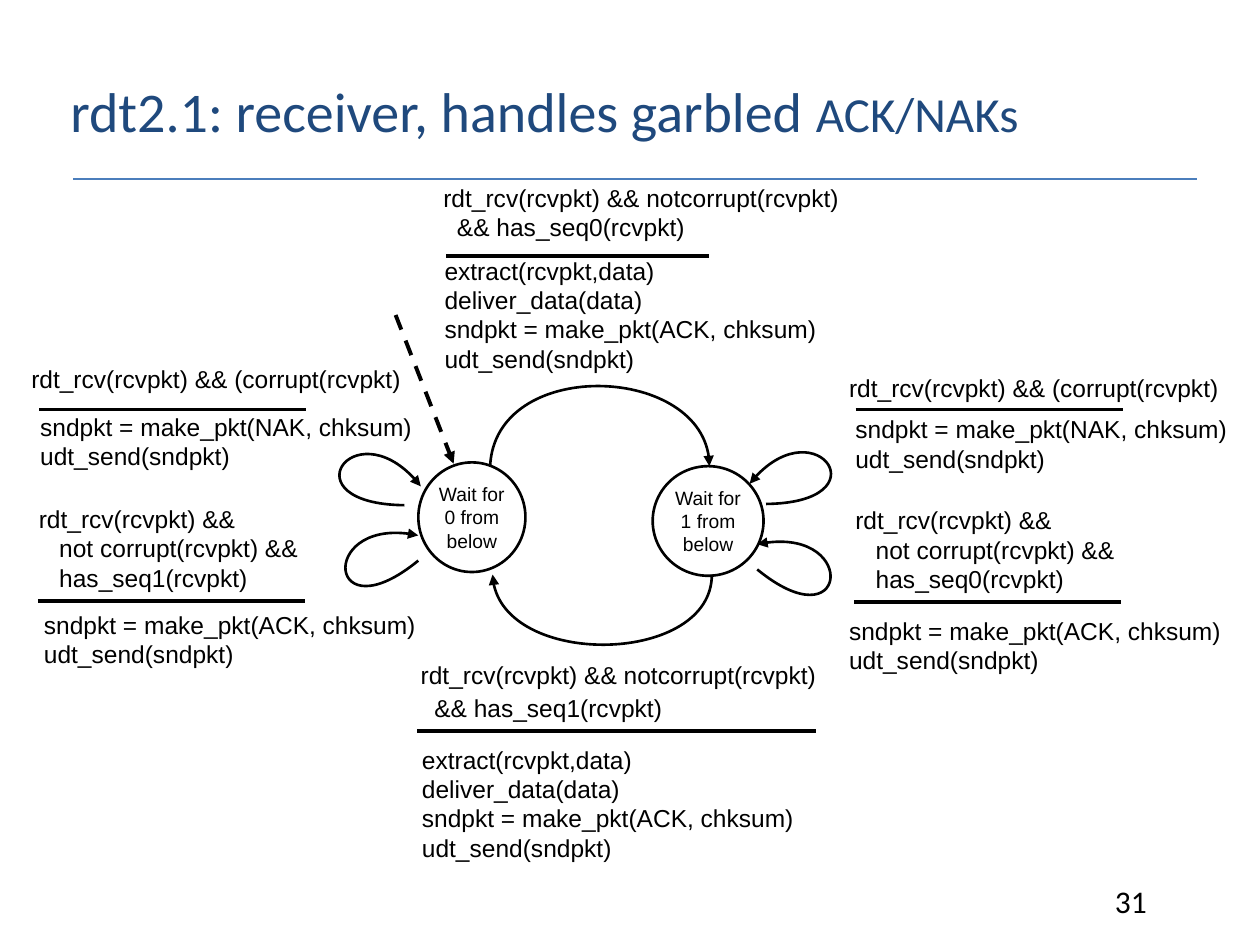
from dataclasses import dataclass

from lxml.etree import SubElement
from pptx import Presentation
from pptx.dml.color import RGBColor
from pptx.enum.dml import MSO_LINE
from pptx.enum.shapes import MSO_CONNECTOR, MSO_SHAPE
from pptx.enum.text import MSO_ANCHOR, PP_ALIGN
from pptx.oxml.ns import qn
from pptx.util import Inches, Pt

HEX = {"ink": "000000", "paper": "FFFFFF", "title": "1F497D", "rule": "4B7EBC"}

# Grid of 100 columns by 75 rows
COLS, ROWS = 100, 75
deck = Presentation()
deck.slide_width, deck.slide_height = Inches(10), Inches(7.5)
slide = deck.slides.add_slide(deck.slide_layouts[6])
shapes = slide.shapes


@dataclass
class Label:
    left: float
    top: float
    wide: float
    high: float
    text: str
    size: float = 14
    font: str = "Arial"
    color: str = "ink"
    gap: float = 0  # points before each line after the first


@dataclass
class Bar:
    start: tuple
    end: tuple
    width: float = 2.25
    color: str = "ink"


@dataclass
class Curve:
    points: tuple  # start, two controls, end
    arrow: str = "tailEnd"


def col(n: float) -> int:
    return round(deck.slide_width * n / COLS)


def row(n: float) -> int:
    return round(deck.slide_height * n / ROWS)


def rgb(name: str) -> RGBColor:
    return RGBColor.from_string(HEX[name])


def stroke(shape, width: float, color: str = "ink") -> None:
    shape.line.width = Pt(width)
    shape.line.color.rgb = rgb(color)


def point(shape, end: str) -> None:
    SubElement(shape.line._get_or_add_ln(), qn("a:" + end), type="triangle")


def place(label: Label) -> tuple:
    return col(label.left), row(label.top), col(label.wide), row(label.high)


def fill_text(shape, label: Label):
    frame = shape.text_frame
    frame.word_wrap = True
    frame.text = label.text
    for i, para in enumerate(frame.paragraphs):
        para.font.size = Pt(label.size)
        para.font.name = label.font
        para.font.color.rgb = rgb(label.color)
        if i and label.gap:
            para.space_before = Pt(label.gap)
    return frame


def write(label: Label):
    return fill_text(shapes.add_textbox(*place(label)), label)


def draw_bar(bar: Bar):
    line = shapes.add_connector(
        MSO_CONNECTOR.STRAIGHT,
        col(bar.start[0]), row(bar.start[1]), col(bar.end[0]), row(bar.end[1]),
    )
    stroke(line, bar.width, bar.color)
    SubElement(line._element.spPr, qn("a:effectLst"))
    return line


def draw_curve(curve: Curve) -> None:
    first, *rest = [(col(x), row(y)) for x, y in curve.points]
    pen = shapes.build_freeform(*first)
    pen.add_line_segments(rest, close=False)
    shape = pen.convert_to_shape()
    # Turn the three straight legs into one Bezier segment
    path = next(shape._element.iter(qn("a:path")))
    legs = path.findall(qn("a:lnTo"))
    bend = SubElement(path, qn("a:cubicBezTo"))
    for leg in legs:
        bend.append(leg[0])
        path.remove(leg)
    shape.shadow.inherit = False
    shape.fill.background()
    stroke(shape, 1.5)
    point(shape, curve.arrow)


def draw_state(label: Label) -> None:
    disc = shapes.add_shape(MSO_SHAPE.OVAL, *place(label))
    disc.shadow.inherit = False
    disc.fill.solid()
    disc.fill.fore_color.rgb = rgb("paper")
    stroke(disc, 1.5)
    frame = fill_text(disc, label)
    frame.vertical_anchor = MSO_ANCHOR.MIDDLE
    frame.margin_left = frame.margin_right = 0
    frame.margin_top = frame.margin_bottom = 0
    for para in frame.paragraphs:
        para.alignment = PP_ALIGN.CENTER


# Wording shared by the transitions
ACK = "sndpkt = make_pkt(ACK, chksum)\nudt_send(sndpkt)"
NAK = ACK.replace("ACK", "NAK")
DELIVER = "extract(rcvpkt,data)\ndeliver_data(data)\n" + ACK
CORRUPT = "rdt_rcv(rcvpkt) && (corrupt(rcvpkt)"
FRESH = "rdt_rcv(rcvpkt) && notcorrupt(rcvpkt)\n  && has_seq{}(rcvpkt)"
REPEAT = "rdt_rcv(rcvpkt) &&\n   not corrupt(rcvpkt) &&\n   has_seq{}(rcvpkt)"
WAIT = "Wait for\n{} from below"

STATES = [
    Label(33.2, 36.7, 8.5, 8.7, WAIT.format(0), 11),
    Label(51.8, 37, 8.8, 8.7, WAIT.format(1), 11),
]
LABELS = [
    # Top and bottom
    Label(34.2, 14, 43.5, 6.2, FRESH.format(0)),
    Label(34.3, 19.8, 38, 7.7, DELIVER),
    Label(32.4, 51.9, 39.2, 6.2, FRESH.format(1), gap=2),
    Label(32.5, 58.6, 42.1, 10.9, DELIVER),
    # Left
    Label(1.5, 28.4, 31.4, 6.7, CORRUPT),
    Label(2.2, 32.2, 33.1, 4.5, NAK),
    Label(2.1, 39.5, 28.7, 6.7, REPEAT.format(1)),
    Label(2.5, 47.9, 32.2, 4.5, ACK),
    # Right
    Label(66.4, 29.1, 31.4, 6.7, CORRUPT),
    Label(66.9, 32.4, 33.1, 4.5, NAK),
    Label(66.9, 39.6, 28.7, 6.7, REPEAT.format(0)),
    Label(66.4, 48.4, 32.2, 4.5, ACK),
    # Slide number
    Label(87.5, 69.5, 7.5, 4, "31", 18, "Calibri"),
]
BARS = [
    Bar((5.8, 14.2), (95, 14.2), 0.75, "rule"),
    Bar((35.4, 20.3), (56.3, 20.3)),
    Bar((33.1, 58), (64.8, 58)),
    Bar((3.1, 32.5), (24.3, 32.5)),
    Bar((3, 47.7), (24.2, 47.7)),
    Bar((67.9, 32.5), (89.1, 32.5)),
    Bar((67.8, 47.8), (89, 47.8)),
]
CURVES = [
    # Between the states
    Curve(((38.9, 37), (39.3, 28.4), (56.3, 28.9), (56.3, 37))),
    Curve(((39.1, 45.6), (39.4, 53.1), (56.5, 52.7), (56.5, 45.6)), "headEnd"),
    # Loops back to a state
    Curve(((60.8, 40), (70.1, 39.9), (64.6, 32), (59.5, 38.4))),
    Curve(((60.1, 45.2), (67.3, 51.1), (68.2, 41.5), (60.1, 43.2))),
    Curve(((33.2, 44.5), (26, 50.4), (25.2, 40.8), (33.2, 42.5))),
    Curve(((32.1, 40.1), (22.8, 40), (28.3, 32.1), (33.4, 38.6))),
]

# Title with a smaller ending
title = write(
    Label(4.6, 2.5, 91, 12.5, "rdt2.1: receiver, handles garbled ", 32, "Calibri", "title")
)
title.vertical_anchor = MSO_ANCHOR.MIDDLE
tail = title.paragraphs[0].add_run()
tail.text = "ACK/NAKs"
tail.font.size = Pt(28)

# Diagram
for state in STATES:
    draw_state(state)
for bar in BARS:
    draw_bar(bar)
for curve in CURVES:
    draw_curve(curve)
for label in LABELS:
    write(label)

# Dashed entry arrow
entry = draw_bar(Bar((31.4, 25), (36, 36.8)))
entry.line.dash_style = MSO_LINE.DASH
point(entry, "tailEnd")

deck.save("out.pptx")
